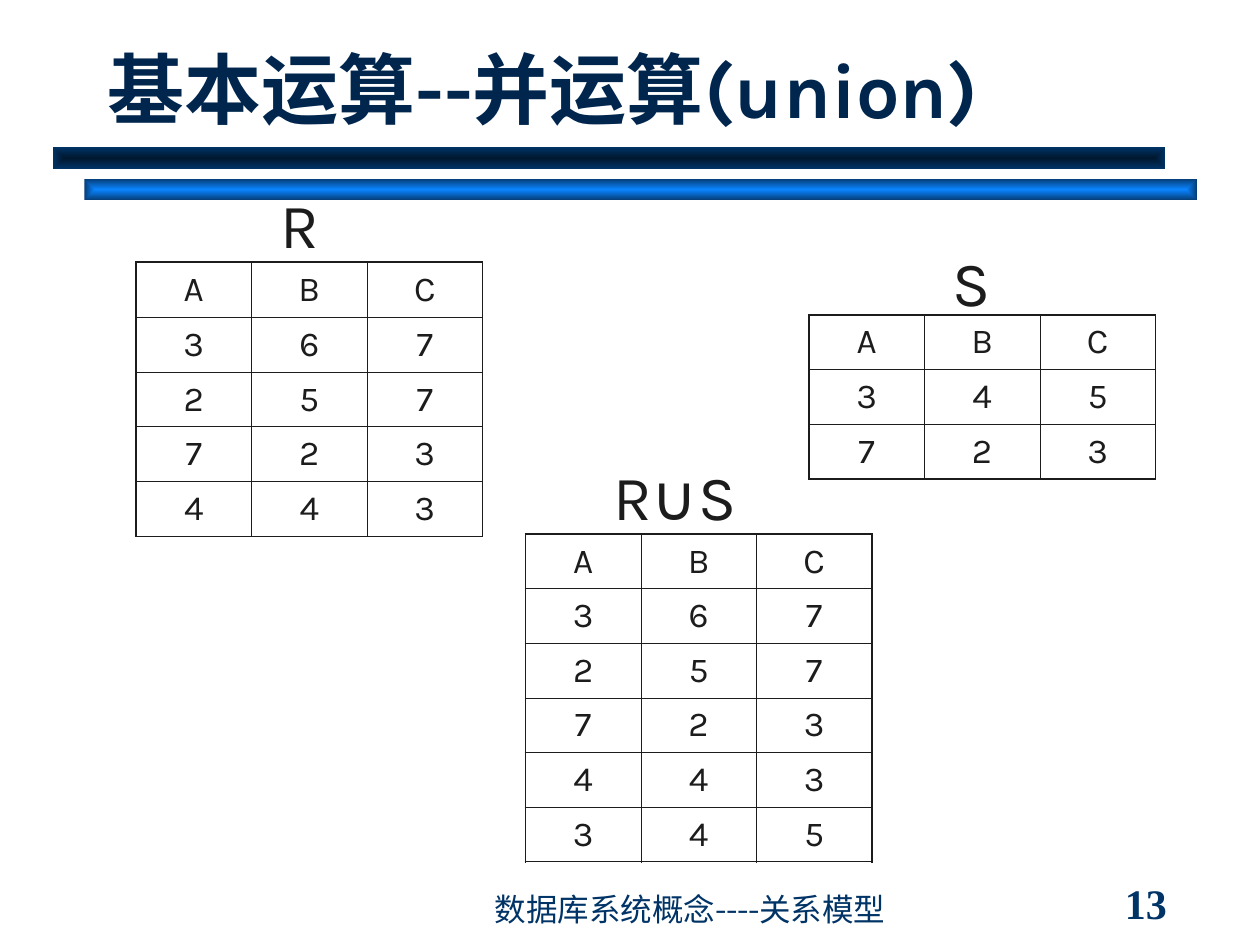
import lxml.etree
import pptx
import pptx.dml.color
import pptx.enum.shapes
import pptx.enum.text
import pptx.oxml.ns
import pptx.util

Inches = pptx.util.Inches
Pt = pptx.util.Pt
ALIGN = pptx.enum.text.PP_ALIGN
ANCHOR = pptx.enum.text.MSO_ANCHOR
qn = pptx.oxml.ns.qn

COLORS = {
    "title": "00264D",
    "footer": "003366",
    "ink": "1C1C1C",
    "navy_core": "00182F",
    "navy_edge": "003366",
    "blue_core": "0A84FF",
    "blue_edge": "053D76",
}
OUTER_LINE, INNER_LINE = 1.08, 0.45
TABLE_WIDTH = 2.75
HEADER = "ABC"


def rgb(color):
    return pptx.dml.color.RGBColor.from_string(COLORS[color])


class SlideBuilder:
    def __init__(self, slide, font):
        self.slide = slide
        self.font = font

    def set_text(self, frame, text, size, color, align=ALIGN.LEFT, bold=False, font=None):
        paragraph = frame.paragraphs[0]
        paragraph.text = text
        paragraph.alignment = align
        paragraph.font.color.rgb = rgb(color)
        formats = {"name": font or self.font, "size": Pt(size), "bold": bold}
        for attribute, value in formats.items():
            setattr(paragraph.font, attribute, value)

    def title(self, text, left, top, width, height):
        title = self.slide.shapes.title
        box = {"left": left, "top": top, "width": width, "height": height}
        for attribute, value in box.items():
            setattr(title, attribute, Inches(value))
        self.set_frame(title.text_frame, ANCHOR.BOTTOM)
        self.set_text(title.text_frame, text, 44, "title", bold=True)

    def set_frame(self, frame, anchor):
        formats = {
            "word_wrap": True,
            "auto_size": pptx.enum.text.MSO_AUTO_SIZE.NONE,
            "vertical_anchor": anchor,
            "margin_left": Inches(0.1),
            "margin_right": Inches(0.1),
            "margin_top": Inches(0.05),
            "margin_bottom": Inches(0.05),
        }
        for attribute, value in formats.items():
            setattr(frame, attribute, value)

    def text(self, text, left, top, width, height, size, color, anchor=ANCHOR.TOP, **style):
        box = self.slide.shapes.add_textbox(*map(Inches, (left, top, width, height)))
        self.set_frame(box.text_frame, anchor)
        self.set_text(box.text_frame, text, size, color, **style)

    def bar(self, left, top, core, edge):
        """Add a rule whose colour runs from its core out to its edges."""
        bar = self.slide.shapes.add_shape(
            pptx.enum.shapes.MSO_SHAPE.RECTANGLE,
            *map(Inches, (left, top, 8.83, 0.17)),
        )
        bar.shadow.inherit = False
        bar.line.fill.background()
        bar.fill.gradient()
        for stop, color in zip(bar.fill.gradient_stops, (core, edge)):
            stop.color.rgb = rgb(color)
        gradient = bar._element.spPr.find(qn("a:gradFill"))
        gradient.remove(gradient.find(qn("a:lin")))
        shade = lxml.etree.SubElement(gradient, qn("a:path"), path="rect")
        sides = {side: "50000" for side in "ltrb"}
        lxml.etree.SubElement(shade, qn("a:fillToRect"), **sides)

    def border(self, cell, side, points):
        line = lxml.etree.SubElement(
            cell._tc.get_or_add_tcPr(), qn(f"a:ln{side}"), w=str(int(Pt(points)))
        )
        fill = lxml.etree.SubElement(line, qn("a:solidFill"))
        lxml.etree.SubElement(fill, qn("a:srgbClr"), val=COLORS["ink"])

    def relation(self, rows, left, top, height):
        """Add a grid of one-character values under the attribute names."""
        rows = [HEADER, *rows]
        last_row, last_column = len(rows) - 1, len(HEADER) - 1
        table = self.slide.shapes.add_table(
            len(rows), len(HEADER), *map(Inches, (left, top, TABLE_WIDTH, height))
        ).table
        table.first_row = table.horz_banding = False
        for r, values in enumerate(rows):
            for c, value in enumerate(values):
                cell = table.cell(r, c)
                cell.vertical_anchor = ANCHOR.MIDDLE
                self.set_text(cell.text_frame, value, 20, "ink", ALIGN.CENTER)
                on_edge = {
                    "L": c == 0,
                    "R": c == last_column,
                    "T": r == 0,
                    "B": r == last_row,
                }
                for side, outer in on_edge.items():
                    self.border(cell, side, OUTER_LINE if outer else INNER_LINE)
                cell.fill.background()


def main():
    deck = pptx.Presentation()
    deck.slide_width, deck.slide_height = Inches(10), Inches(7.5)
    builder = SlideBuilder(deck.slides.add_slide(deck.slide_layouts[5]), "Karla")

    builder.bar(0.67, 1.42, "blue_core", "blue_edge")
    builder.bar(0.42, 1.17, "navy_core", "navy_edge")
    builder.title("基本运算--并运算(union)", 0.75, 0.25, 8.52, 0.86)

    r_rows = ["367", "257", "723", "443"]
    s_rows = ["345", "723"]
    union_rows = r_rows + [row for row in s_rows if row not in r_rows]
    builder.relation(r_rows, 1.08, 2.08, 2.18)
    builder.relation(s_rows, 6.42, 2.5, 1.3)
    builder.relation(union_rows, 4.17, 4.24, 2.6)

    labels = [("R", 1.92, 1.42, 0.92), ("S", 7.25, 1.88, 0.92), ("R∪S ", 4.75, 3.58, 1.33)]
    for name, left, top, width in labels:
        builder.text(name, left, top, width, 0.7, 36, "ink", align=ALIGN.CENTER)

    builder.text("数据库系统概念----关系模型", 3.83, 7.08, 4.08, 0.33, 18, "footer", ANCHOR.BOTTOM)
    builder.text("13", 8.83, 7, 1.08, 0.33, 24, "footer", ANCHOR.MIDDLE,
                 bold=True, font="Times New Roman")

    deck.save("out.pptx")


if __name__ == "__main__":
    main()
